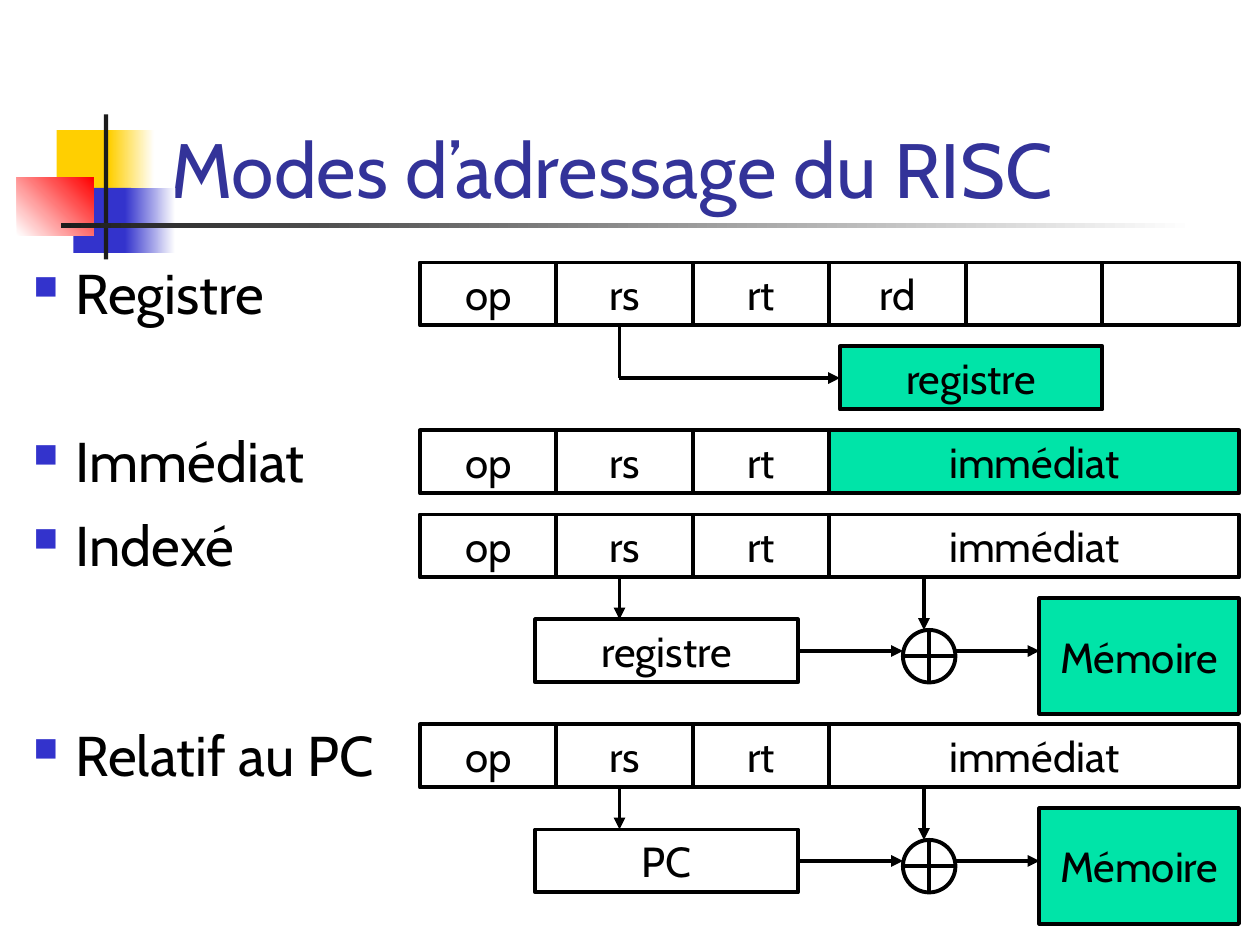
from lxml.etree import SubElement
from pptx import Presentation
from pptx.dml.color import RGBColor
from pptx.enum.shapes import MSO_CONNECTOR, MSO_SHAPE
from pptx.enum.text import MSO_ANCHOR, MSO_AUTO_SIZE, PP_ALIGN
from pptx.oxml.ns import qn
from pptx.util import Emu, Pt

PX = 7620  # EMU per px, 120 px to the inch
BLACK = RGBColor(0x00, 0x00, 0x00)
WHITE = RGBColor(0xFF, 0xFF, 0xFF)
CHARCOAL = RGBColor(0x1C, 0x1C, 0x1C)
YELLOW = RGBColor(0xFF, 0xCF, 0x01)
BLUE = RGBColor(0x33, 0x33, 0xCC)
RED = RGBColor(0xFF, 0x00, 0x00)
NAVY = RGBColor(0x33, 0x33, 0x99)
GREEN = RGBColor(0x00, 0xE4, 0xA8)

FIELD_LEFT, FIELD_WIDTH, FIELD_HEIGHT = 400, 130, 60
RS_X, IMMEDIATE_X = 590, 880  # where arrows leave the instruction fields


def px(*lengths):
    return [Emu(length * PX) for length in lengths]


def write(frame, text, size=24, color=BLACK, font="Cabin", align=PP_ALIGN.CENTER,
          anchor=MSO_ANCHOR.MIDDLE, wrap=False):
    frame.word_wrap = wrap
    frame.auto_size = MSO_AUTO_SIZE.NONE
    frame.vertical_anchor = anchor
    para = frame.paragraphs[0]
    para.alignment = align
    span = para.add_run()
    span.text = text
    span.font.name, span.font.size = font, Pt(size)
    span.font.color.rgb = color
    return para


class Diagram:
    def __init__(self, page, line_width=2.25):
        self.page = page
        self.line_width = Pt(line_width)

    def title(self, text, *place):
        box = self.page.shapes.title
        box.left, box.top, box.width, box.height = px(*place)
        write(box.text_frame, text, size=44, color=NAVY, align=PP_ALIGN.LEFT,
              anchor=MSO_ANCHOR.BOTTOM, wrap=True)

    def ornament(self, place, start, end=None, angle=0):
        box = self.page.shapes.add_shape(MSO_SHAPE.RECTANGLE, *px(*place))
        box.shadow.inherit = False
        box.line.fill.background()
        if end is None:
            box.fill.solid()
            box.fill.fore_color.rgb = start
            return
        box.fill.gradient()
        box.fill.gradient_angle = angle
        for stop, position, color in zip(box.fill.gradient_stops, (0, 1), (start, end)):
            stop.position = position
            stop.color.rgb = color

    def box(self, text, *place, fill=None, kind=MSO_SHAPE.RECTANGLE):
        box = self.page.shapes.add_shape(kind, *px(*place))
        box.shadow.inherit = False
        if fill is None:
            box.fill.background()
        else:
            box.fill.solid()
            box.fill.fore_color.rgb = fill
        box.line.color.rgb = BLACK
        box.line.width = self.line_width
        if text:
            write(box.text_frame, text)
        return box

    def line(self, x1, y1, x2, y2, arrow=True, begin=None, end=None):
        line = self.page.shapes.add_connector(MSO_CONNECTOR.STRAIGHT, *px(x1, y1, x2, y2))
        if begin:
            line.begin_connect(*begin)
        if end:
            line.end_connect(*end)
        line.line.color.rgb = BLACK
        line.line.width = self.line_width
        if arrow:
            SubElement(line.line._get_or_add_ln(), qn("a:tailEnd"), type="triangle")
        SubElement(line._element.spPr, qn("a:effectLst"))

    def label(self, text, *place):
        box = self.page.shapes.add_textbox(*px(*place))
        para = write(box.text_frame, text, size=32, align=PP_ALIGN.LEFT,
                     anchor=MSO_ANCHOR.TOP, wrap=True)
        properties = para._p.get_or_add_pPr()
        indent = 40 * PX
        properties.set("marL", str(indent))
        properties.set("indent", str(-indent))
        bullet_color = SubElement(properties, qn("a:buClr"))
        SubElement(bullet_color, qn("a:srgbClr"), val=str(BLUE))
        SubElement(properties, qn("a:buSzPct"), val="60000")
        SubElement(properties, qn("a:buChar"), char="■")

    def instruction(self, top, fields):
        """Fields are (text, number of columns, fill)."""
        left = FIELD_LEFT
        for text, columns, fill in fields:
            width = columns * FIELD_WIDTH
            self.box(text, left, top, width, FIELD_HEIGHT, fill=fill)
            left += width

    def address_sum(self, top, base):
        """Base plus immediate gives the memory address."""
        bottom, flow = top + FIELD_HEIGHT, top + 130
        source = self.box(base, 510, top + 100, 250, 60)
        self.box(None, 860, top + 110, 50, 50, kind=MSO_SHAPE.FLOWCHART_OR)
        self.box("Mémoire", 990, top + 80, 190, 110, fill=GREEN)
        self.line(RS_X, bottom, RS_X, top + 100)
        self.line(IMMEDIATE_X, bottom, IMMEDIATE_X, top + 110)
        self.line(760, flow, 860, flow, begin=(source, 3))
        self.line(910, flow, 990, flow)


def main():
    deck = Presentation()
    deck.slide_width, deck.slide_height = px(1200, 900)
    page = deck.slides.add_slide(deck.slide_layouts[5])
    diagram = Diagram(page)

    # Corner ornament and title rule
    diagram.ornament((54, 124, 58, 62), YELLOW)
    diagram.ornament((104, 124, 43, 62), YELLOW, WHITE)
    diagram.ornament((70, 179, 55, 62), BLUE)
    diagram.ornament((119, 179, 48, 62), BLUE, WHITE)
    diagram.ornament((16, 169, 73, 55), WHITE, RED, angle=45)
    diagram.ornament((99, 109, 4, 138), CHARCOAL)
    diagram.ornament((58, 212, 1080, 5), CHARCOAL, WHITE)
    diagram.title("Modes d’adressage du RISC", 150, 60, 1022, 150)

    # Instruction formats, one per addressing mode
    common = [(name, 1, None) for name in ("op", "rs", "rt")]
    register = common + [("rd", 1, None), (None, 1, None), (None, 1, None)]
    immediate = common + [("immédiat", 3, GREEN)]
    offset = common + [("immédiat", 3, None)]
    modes = [
        ("Registre", 250, 320, register),
        ("Immédiat", 410, 320, immediate),
        ("Indexé", 490, 320, offset),
        ("Relatif au PC", 690, 390, offset),
    ]
    for name, top, width, fields in modes:
        diagram.label(name, 20, top - 10, width, 77)
        diagram.instruction(top, fields)

    # Register operand
    operand = diagram.box("registre", 800, 330, 250, 60, fill=GREEN)
    diagram.line(RS_X, 360, 800, 360, end=(operand, 1))
    diagram.line(RS_X, 360, RS_X, 310, arrow=False)

    # Memory operands
    diagram.address_sum(490, "registre")
    diagram.address_sum(690, "PC")

    deck.save("out.pptx")


if __name__ == "__main__":
    main()
